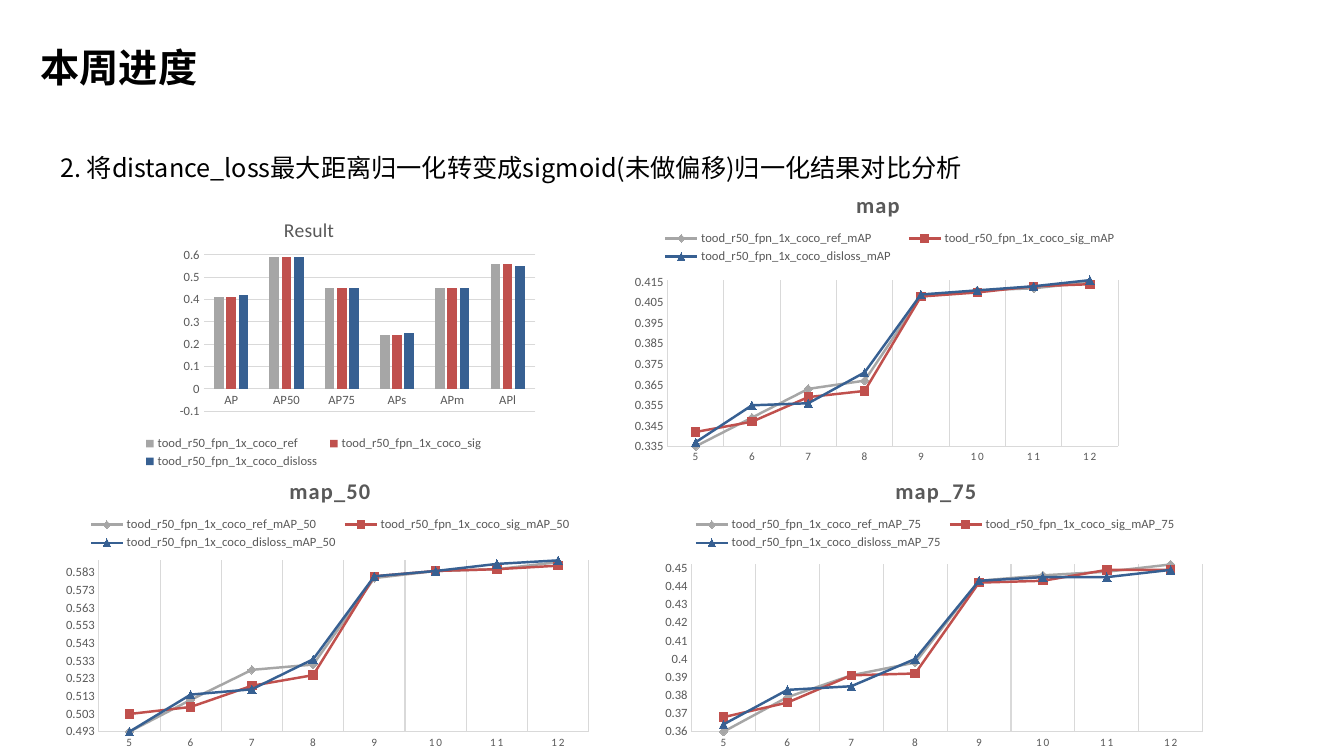
import pptx
import pptx.chart.data
import pptx.dml.color
import pptx.enum.chart
import pptx.enum.text
import pptx.oxml
import pptx.oxml.ns
import pptx.util
from pptx.util import Inches

RGBColor = pptx.dml.color.RGBColor
XL = pptx.enum.chart
BLACK = RGBColor(0x00, 0x00, 0x00)
TEXT_GREY = RGBColor(0x59, 0x59, 0x59)
GRID_GREY = RGBColor(0xD9, 0xD9, 0xD9)
REF_GREY = RGBColor(0xA6, 0xA6, 0xA6)
SIG_RED = RGBColor(0xC0, 0x50, 0x4D)
DISLOSS_BLUE = RGBColor(0x37, 0x60, 0x92)

CJK_FONT = "Noto Sans CJK SC"
CHART_FONT = "Calibri"
MODELS = ("ref", "sig", "disloss")
COLORS = (REF_GREY, SIG_RED, DISLOSS_BLUE)
MARKERS = (XL.XL_MARKER_STYLE.DIAMOND, XL.XL_MARKER_STYLE.SQUARE, XL.XL_MARKER_STYLE.TRIANGLE)
EPOCHS = [str(n) for n in range(5, 13)]


def style_font(font, size, color=TEXT_GREY, name=CHART_FONT, bold=False):
    font.size = pptx.util.Pt(size)
    font.name = name
    font.bold = bold
    font.color.rgb = color


def style_line(line, color, width=0.75):
    line.color.rgb = color
    line.width = pptx.util.Pt(width)


def add_text(slide, box, text, size, bold=False, wrap=True, align=None):
    tf = slide.shapes.add_textbox(*map(Inches, box)).text_frame
    tf.word_wrap = wrap
    p = tf.paragraphs[0]
    p.alignment = align
    p.line_spacing = 1.5
    r = p.add_run()
    r.text = text
    style_font(r.font, size, BLACK, CJK_FONT, bold)
    # East Asian glyphs take their own typeface entry
    ea = pptx.oxml.parse_xml(f'<a:ea {pptx.oxml.ns.nsdecls("a")} typeface="{CJK_FONT}"/>')
    r.font._element.find(pptx.oxml.ns.qn("a:latin")).addnext(ea) if hasattr(r.font, "_element") \
        else r._r.get_or_add_rPr().find(pptx.oxml.ns.qn("a:latin")).addnext(ea)


def set_layout(element, index, chart_box, box, inner=False):
    """Place a chart part; box is on the slide in inches, (x, y) or (x, y, w, h)."""
    for old in element.findall(pptx.oxml.ns.qn("c:layout")):
        element.remove(old)
    left, top, width, height = chart_box
    fractions = [(box[0] - left) / width, (box[1] - top) / height]
    fractions += [size / total for size, total in zip(box[2:], (width, height))]
    target = '<c:layoutTarget val="inner"/>' if inner else ""
    modes = '<c:xMode val="edge"/><c:yMode val="edge"/>'
    values = "".join(f'<c:{k} val="{v:.4f}"/>' for k, v in zip("xywh", fractions))
    element.insert(index, pptx.oxml.parse_xml(
        f'<c:layout {pptx.oxml.ns.nsdecls("c")}><c:manualLayout>'
        f'{target}{modes}{values}</c:manualLayout></c:layout>'))


def set_spacing(element, hundredths):
    for props in element.xpath(".//a:defRPr | .//a:rPr"):
        props.set("spc", str(hundredths))


def style_axis(axis, size):
    axis.major_tick_mark = axis.minor_tick_mark = XL.XL_TICK_MARK.NONE
    style_font(axis.tick_labels.font, size)
    style_line(axis.format.line, GRID_GREY)


def show_grid(axis):
    axis.has_major_gridlines = True
    style_line(axis.major_gridlines.format.line, GRID_GREY)


def add_chart(slide, kind, box, title, title_size, title_at, plot_box, legend_box,
              legend_pos, cats, suffix, values, scale):
    data = pptx.chart.data.CategoryChartData(number_format="General")
    data.categories = cats
    for model, vals in zip(MODELS, values):
        data.add_series(f"tood_r50_fpn_1x_coco_{model}{suffix}", vals)
    chart = slide.shapes.add_chart(kind, *map(Inches, box), data).chart
    style_font(chart.font, 10, BLACK)

    # Title and legend
    chart.has_title = True
    p = chart.chart_title.text_frame.paragraphs[0]
    p.text = title
    style_font(p.font, title_size, bold=title_size == 16)
    style_font(p.runs[0].font, title_size, bold=title_size == 16)
    set_layout(chart.chart_title._element, 1, box, title_at)
    chart.has_legend = True
    chart.legend.position = legend_pos
    chart.legend.include_in_layout = False
    style_font(chart.legend.font, 9)
    set_layout(chart.legend._element, 1, box, legend_box)

    # Axes and plot area
    style_axis(chart.category_axis, 9)
    axis = chart.value_axis
    style_axis(axis, 9)
    axis.has_major_gridlines = False
    axis.minimum_scale, axis.maximum_scale, axis.major_unit = scale
    axis.tick_labels.number_format = "General"
    axis.tick_labels.number_format_is_linked = False
    set_layout(chart._chartSpace.chart.plotArea, 0, box, plot_box, inner=True)
    chart.plots[0].vary_by_categories = False
    return chart


def add_result_chart(slide, values):
    chart = add_chart(
        slide, XL.XL_CHART_TYPE.COLUMN_CLUSTERED, (0.68, 1.94, 4.72, 2.76), "Result", 14,
        (2.78, 2.11), (2.02, 2.53, 3.29, 1.55), (1.36, 4.3, 3.5, 0.38),
        XL.XL_LEGEND_POSITION.BOTTOM, ["AP", "AP50", "AP75", "APs", "APm", "APl"],
        "", values, (-0.1, 0.6, 0.1))
    show_grid(chart.value_axis)
    chart.value_axis.format.line.fill.background()
    plot = chart.plots[0]
    plot.gap_width, plot.overlap = 219, -27
    for series, color in zip(plot.series, COLORS):
        series.format.fill.solid()
        series.format.fill.fore_color.rgb = color


def add_map_chart(slide, box, title, title_at, plot_box, legend_at, suffix, values, scale):
    chart = add_chart(
        slide, XL.XL_CHART_TYPE.LINE_MARKERS, box, title, 16, title_at, plot_box,
        (*legend_at, 4.85, 0.39), XL.XL_LEGEND_POSITION.TOP, EPOCHS, suffix, values,
        (*scale, 0.01))
    set_spacing(chart.chart_title._element, 100)
    axis = chart.category_axis
    style_font(axis.tick_labels.font, 8)
    set_spacing(axis._element, 120)
    show_grid(axis)
    for series, color, symbol in zip(chart.plots[0].series, COLORS, MARKERS):
        series.smooth = False
        style_line(series.format.line, color, 1.75)
        marker = series.marker
        marker.style, marker.size = symbol, 6
        marker.format.fill.solid()
        marker.format.fill.fore_color.rgb = color
        style_line(marker.format.line, color)


def main():
    prs = pptx.Presentation()
    prs.slide_width, prs.slide_height = Inches(13.33), Inches(7.5)
    slide = prs.slides.add_slide(prs.slide_layouts[6])

    # Headings
    add_text(slide, (0.29, 0.15, 1.78, 0.72), "本周进度", 28, bold=True, wrap=False,
             align=pptx.enum.text.PP_ALIGN.CENTER)
    add_text(slide, (0.5, 1.31, 12.33, 0.51),
             "2. 将distance_loss最大距离归一化转变成sigmoid(未做偏移)归一化结果对比分析", 18)

    # Final results
    add_result_chart(slide, [(0.41, 0.59, 0.45, 0.24, 0.45, 0.56),
                             (0.41, 0.59, 0.45, 0.24, 0.45, 0.56),
                             (0.42, 0.59, 0.45, 0.25, 0.45, 0.55)])

    # Training curves
    add_map_chart(slide, (6.19, 1.66, 5, 3), "map", (8.45, 1.84), (6.62, 2.78, 4.47, 1.65),
                  (6.46, 2.26), "_mAP",
                  [(0.335, 0.349, 0.363, 0.367, 0.408, 0.411, 0.412, 0.415),
                   (0.342, 0.347, 0.359, 0.362, 0.408, 0.41, 0.413, 0.414),
                   (0.337, 0.355, 0.356, 0.371, 0.409, 0.411, 0.413, 0.416)],
                  (0.335, 0.416))
    add_map_chart(slide, (0.56, 4.5, 5.4, 3), "map_50", (2.83, 4.68), (0.98, 5.56, 4.86, 1.7),
                  (0.85, 5.1), "_mAP_50",
                  [(0.493, 0.511, 0.528, 0.531, 0.58, 0.584, 0.585, 0.589),
                   (0.503, 0.507, 0.519, 0.525, 0.581, 0.584, 0.585, 0.587),
                   (0.493, 0.514, 0.517, 0.534, 0.581, 0.584, 0.588, 0.59)],
                  (0.493, 0.59))
    add_map_chart(slide, (6.48, 4.5, 5.56, 3), "map_75", (8.84, 4.68), (6.86, 5.6, 5.07, 1.66),
                  (6.85, 5.1), "_mAP_75",
                  [(0.36, 0.379, 0.391, 0.398, 0.443, 0.446, 0.448, 0.452),
                   (0.368, 0.376, 0.391, 0.392, 0.442, 0.443, 0.449, 0.449),
                   (0.364, 0.383, 0.385, 0.4, 0.443, 0.445, 0.445, 0.449)],
                  (0.36, 0.452))

    prs.save("out.pptx")


if __name__ == "__main__":
    main()
